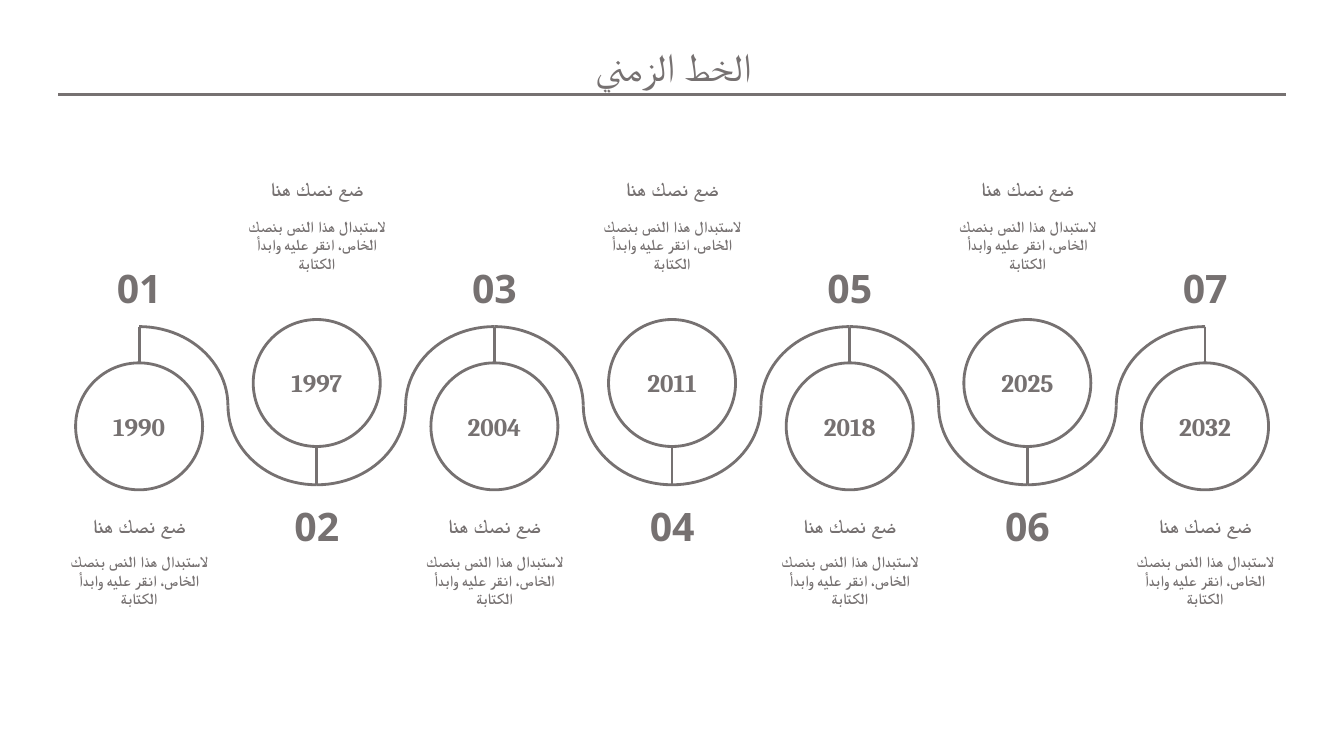
from dataclasses import dataclass

from lxml import etree
from pptx import Presentation
from pptx.dml.color import RGBColor
from pptx.enum.shapes import MSO_CONNECTOR, MSO_SHAPE
from pptx.enum.text import MSO_AUTO_SIZE, PP_ALIGN
from pptx.oxml.ns import qn
from pptx.util import Inches, Pt

ARC, OVAL = MSO_SHAPE.ARC, MSO_SHAPE.OVAL
STRAIGHT = MSO_CONNECTOR.STRAIGHT
CENTER = PP_ALIGN.CENTER
GROW = MSO_AUTO_SIZE.SHAPE_TO_FIT_TEXT


@dataclass(frozen=True)
class Theme:
    ink: RGBColor = RGBColor(0x76, 0x71, 0x71)
    paper: RGBColor = RGBColor(0xFF, 0xFF, 0xFF)
    text_font: str = "Open Sans"
    year_font: str = "Cambria"
    display_size: int = 28
    year_size: int = 18
    heading_size: int = 14
    body_size: int = 11
    stroke: int = 2


THEME = Theme()

TITLE = "الخط الزمني"
HEADING = "ضع نصك هنا"
BODY = "لاستبدال هذا النص بنصك الخاص، انقر عليه وابدأ الكتابة"
YEARS = ["1990", "1997", "2004", "2011", "2018", "2025", "2032"]

FIRST_CENTER, STEP = 1.38, 1.762
ARC_TOP, ARC_HEIGHT = 3.24, 1.57
CIRCLE = 1.26
NUMBER_WIDTH, CAPTION_WIDTH = 1.05, 1.67


@dataclass(frozen=True)
class Row:
    """Vertical places of a milestone's parts."""
    circle: float
    stem: tuple
    year: float
    number: float
    heading: float
    body: float


LOW = Row(circle=3.6, stem=(3.24, 3.6), year=4.03, number=2.57, heading=5.05, body=5.43)
HIGH = Row(circle=3.17, stem=(4.42, 4.81), year=3.59, number=4.93, heading=1.71, body=2.1)


def style_line(line):
    line.color.rgb = THEME.ink
    line.width = Pt(THEME.stroke)


def add_line(slide, x1, y1, x2, y2):
    connector = slide.shapes.add_connector(
        STRAIGHT, Inches(x1), Inches(y1), Inches(x2), Inches(y2))
    style_line(connector.line)
    etree.SubElement(connector._element.spPr, qn("a:effectLst"))


def add_outline(slide, kind, left, top, width, height):
    outline = slide.shapes.add_shape(
        kind, Inches(left), Inches(top), Inches(width), Inches(height))
    outline.shadow.inherit = False
    style_line(outline.line)
    return outline


def add_arc(slide, center, **flips):
    """Draw one quarter of the wave; unflipped, it is the top right quarter."""
    arc = add_outline(slide, ARC, center - STEP / 2, ARC_TOP, STEP, ARC_HEIGHT)
    arc.fill.background()
    for name, flipped in flips.items():
        if flipped:
            arc._element.spPr.xfrm.set(name, "1")


def add_circle(slide, center, top):
    circle = add_outline(slide, OVAL, center - CIRCLE / 2, top, CIRCLE, CIRCLE)
    circle.fill.solid()
    circle.fill.fore_color.rgb = THEME.paper


def add_label(slide, text, center, top, width, height, size,
              font=THEME.text_font, bold=True, rtl=False):
    frame = slide.shapes.add_textbox(
        Inches(center - width / 2), Inches(top), Inches(width), Inches(height)).text_frame
    frame.word_wrap = True
    frame.auto_size = GROW
    paragraph = frame.paragraphs[0]
    paragraph.alignment = CENTER
    if rtl:
        paragraph._p.get_or_add_pPr().set("rtl", "1")
    run = paragraph.add_run()
    run.text = text
    for name, value in {"name": font, "size": Pt(size), "bold": bold}.items():
        setattr(run.font, name, value)
    run.font.color.rgb = THEME.ink
    etree.SubElement(run.font._element, qn("a:cs"), typeface=font)


def add_milestone(slide, index, year):
    center = FIRST_CENTER + index * STEP
    is_high = index % 2 == 1
    row = HIGH if is_high else LOW
    if index > 0:
        add_arc(slide, center, flipH=True, flipV=is_high)
    if index < len(YEARS) - 1:
        add_arc(slide, center, flipV=is_high)
    add_line(slide, center, row.stem[0], center, row.stem[1])
    add_circle(slide, center, row.circle)
    add_label(slide, year, center, row.year, CIRCLE, 0.4, THEME.year_size, THEME.year_font)
    add_label(slide, f"{index + 1:02d}", center, row.number, NUMBER_WIDTH, 0.57,
              THEME.display_size)
    add_label(slide, HEADING, center, row.heading, CAPTION_WIDTH, 0.33,
              THEME.heading_size, rtl=True)
    add_label(slide, BODY, center, row.body, CAPTION_WIDTH, 0.65,
              THEME.body_size, rtl=True)


def main():
    deck = Presentation()
    deck.slide_width, deck.slide_height = Inches(13.33), Inches(7.5)
    slide = deck.slides.add_slide(deck.slide_layouts[6])
    add_label(slide, TITLE, 6.68, 0.37, 13.36, 0.57, THEME.display_size,
              bold=False, rtl=True)
    add_line(slide, 0.58, 0.94, 12.75, 0.94)
    for index, year in enumerate(YEARS):
        add_milestone(slide, index, year)
    deck.save("out.pptx")


if __name__ == "__main__":
    main()
